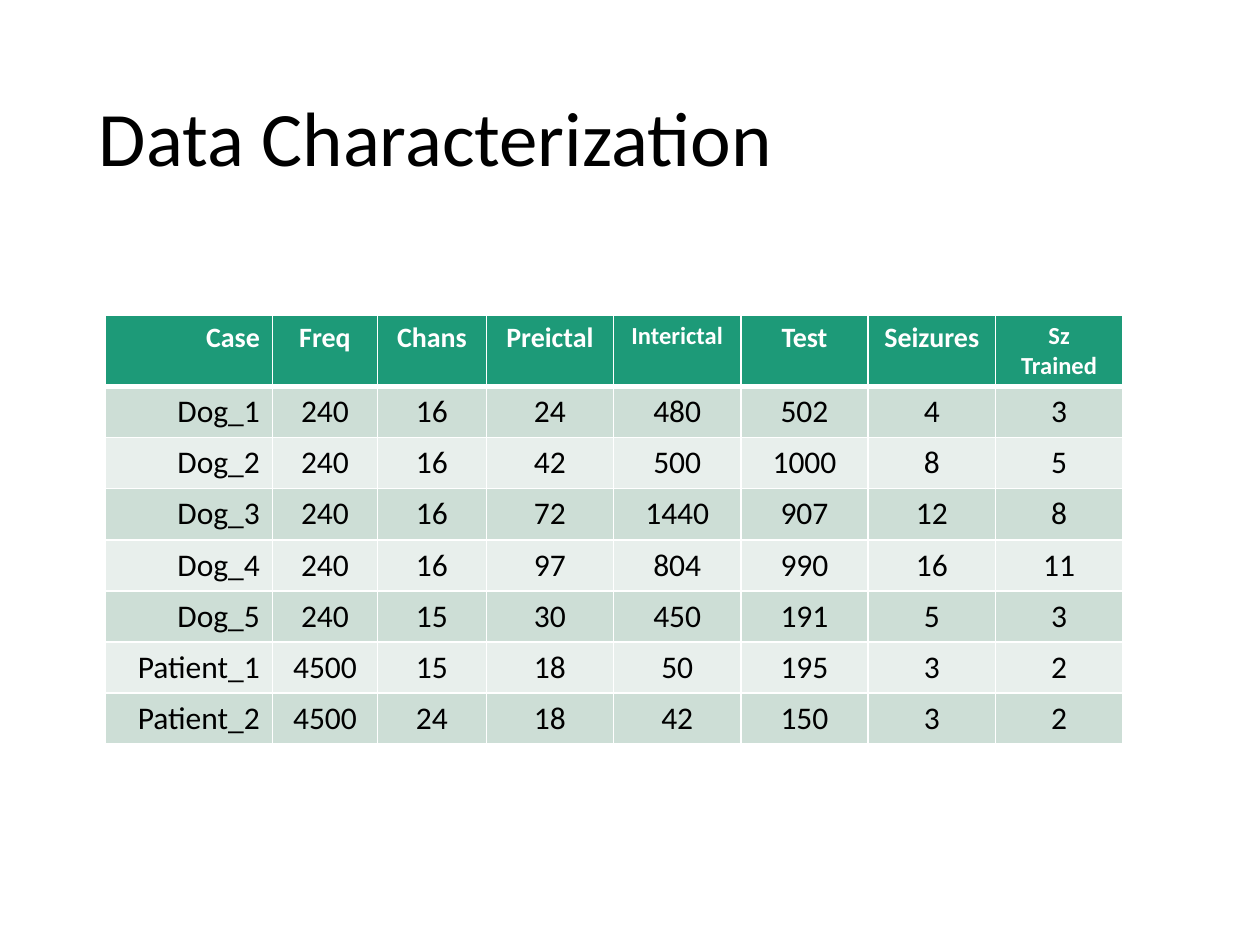
import pptx
import pptx.dml.color
import pptx.enum.text
import pptx.util
import lxml.etree
import pptx.oxml.ns

Pt = pptx.util.Pt
RGBColor = pptx.dml.color.RGBColor
ALIGN = pptx.enum.text.PP_ALIGN
GREEN = RGBColor(0x1D, 0x9A, 0x78)
SAGE = RGBColor(0xCD, 0xDE, 0xD6)
MIST = RGBColor(0xE8, 0xEF, 0xEC)
WHITE = RGBColor(0xFF, 0xFF, 0xFF)
BLACK = RGBColor(0, 0, 0)


def style(par, size, color, bold=False):
    font = par.runs[0].font
    for key, val in {"name": "Calibri", "size": Pt(size), "bold": bold}.items():
        setattr(font, key, val)
    font.color.rgb = color


def border(cell, side, width):
    qn = pptx.oxml.ns.qn
    props = cell._tc.get_or_add_tcPr()
    line = lxml.etree.SubElement(props, qn("a:ln" + side), w=str(Pt(width)))
    fill = lxml.etree.SubElement(line, qn("a:solidFill"))
    lxml.etree.SubElement(fill, qn("a:srgbClr"), val=str(WHITE))


deck = pptx.Presentation()
deck.slide_width = Pt(720)
deck.slide_height = Pt(540)
slide = deck.slides.add_slide(deck.slide_layouts[6])

title = slide.shapes.add_textbox(Pt(49.5), Pt(28.75), Pt(621), Pt(104.4)).text_frame
for key, val in {
    "text": "Data Characterization",
    "word_wrap": True,
    "vertical_anchor": pptx.enum.text.MSO_ANCHOR.MIDDLE,
}.items():
    setattr(title, key, val)
title.paragraphs[0].line_spacing = 0.9
style(title.paragraphs[0], 44, BLACK)

rows = [
    ["Case", "Freq", "Chans", "Preictal", "Interictal", "Test", "Seizures", "Sz Trained"],
    ["Dog_1", 240, 16, 24, 480, 502, 4, 3],
    ["Dog_2", 240, 16, 42, 500, 1000, 8, 5],
    ["Dog_3", 240, 16, 72, 1440, 907, 12, 8],
    ["Dog_4", 240, 16, 97, 804, 990, 16, 11],
    ["Dog_5", 240, 15, 30, 450, 191, 5, 3],
    ["Patient_1", 4500, 15, 18, 50, 195, 3, 2],
    ["Patient_2", 4500, 24, 18, 42, 150, 3, 2],
]
small = {"Interictal", "Sz Trained"}
widths = [95.7, 60, 62.2] + [72.75] * 5
high = 29.2

table = slide.shapes.add_table(
    len(rows), len(widths), Pt(60), Pt(180), Pt(sum(widths)), Pt(high * len(rows))
).table
for col, width in zip(table.columns, widths):
    col.width = Pt(width)

for r, row in enumerate(rows):
    table.rows[r].height = Pt(high)
    for c, value in enumerate(row):
        cell = table.cell(r, c)
        for side in "LRTB":
            thick = (r, side) in [(0, "B"), (1, "T")]
            border(cell, side, 3 if thick else 1)
        cell.fill.solid()
        cell.fill.fore_color.rgb = GREEN if r == 0 else SAGE if r % 2 else MIST
        cell.text = str(value)
        par = cell.text_frame.paragraphs[0]
        par.alignment = ALIGN.CENTER if c else ALIGN.RIGHT
        if r:
            style(par, 18, BLACK)
        else:
            style(par, 14 if value in small else 16, WHITE, True)

deck.save("out.pptx")
